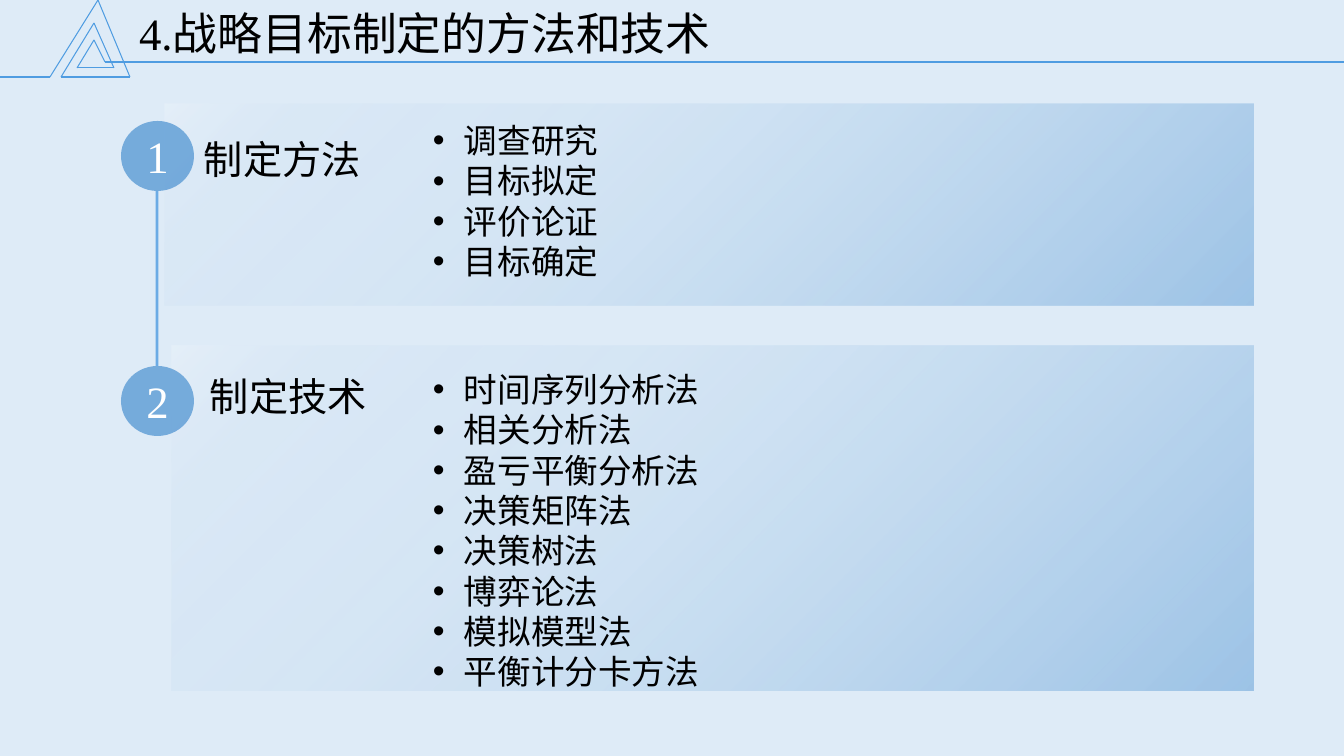
"""Build the slide on methods and techniques for setting strategic goals."""
from dataclasses import dataclass

import lxml.etree
import pptx
import pptx.dml.color
import pptx.enum.shapes
import pptx.enum.text
import pptx.oxml
import pptx.oxml.ns
import pptx.util

EMU_PER_PX = 12192000 / 1344
FONT = "Times New Roman"
BACKGROUND, LINE, ACCENT, PALE = "DEEBF7", "4F9CE1", "5B9BD5", "B5D2EC"
BLACK, WHITE = "000000", "FFFFFF"
PANEL_STOPS = [(0, ACCENT, 50), (67, PALE, 20), (88, PALE, 10), (100, WHITE, 20)]
TRIANGLE_TRAIL = [(0, 77), (50, 77), (98, 0), (130, 77), (61, 77), (94, 23),
                  (114, 68), (77, 68), (94, 40), (105, 62), (1344, 62)]
ALIGN = pptx.enum.text.PP_ALIGN
ANCHOR = pptx.enum.text.MSO_ANCHOR
SHAPE = pptx.enum.shapes.MSO_SHAPE


@dataclass
class Area:
    left: int
    top: int
    width: int
    height: int


@dataclass
class Section:
    number: str
    label: str
    items: list[str]
    panel: Area
    label_area: Area
    badge: Area
    list_area: Area


SECTIONS = [
    Section("1", "制定方法", ["调查研究", "目标拟定", "评价论证", "目标确定"],
            Area(165, 104, 1089, 201), Area(194, 130, 221, 57),
            Area(121, 121, 73, 70), Area(423, 115, 827, 173)),
    Section("2", "制定技术",
            ["时间序列分析法", "相关分析法", "盈亏平衡分析法", "决策矩阵法",
             "决策树法", "博弈论法", "模拟模型法", "平衡计分卡方法"],
            Area(172, 346, 1082, 345), Area(200, 367, 191, 57),
            Area(121, 366, 73, 70), Area(423, 364, 839, 336)),
]


def px(length: int) -> int:
    return round(length * EMU_PER_PX)


def emu(area: Area) -> tuple[int, ...]:
    return tuple(px(n) for n in (area.left, area.top, area.width, area.height))


def rgb(color: str) -> pptx.dml.color.RGBColor:
    return pptx.dml.color.RGBColor.from_string(color)


def set_alpha(element, percent: int) -> None:
    for color in element.iter(pptx.oxml.ns.qn("a:srgbClr")):
        alpha = lxml.etree.SubElement(color, pptx.oxml.ns.qn("a:alpha"))
        alpha.set("val", str(percent * 1000))


def write(shape, lines: list[str], *, size: int, color: str = BLACK,
          align=ALIGN.LEFT, anchor=ANCHOR.TOP, spacing: float = 1.0,
          bullet: bool = False) -> None:
    frame = shape.text_frame
    frame.word_wrap = True
    frame.auto_size = pptx.enum.text.MSO_AUTO_SIZE.NONE
    frame.vertical_anchor = anchor
    for index, line in enumerate(lines):
        para = frame.add_paragraph() if index else frame.paragraphs[0]
        para.alignment = align
        para.line_spacing = spacing
        if bullet:
            properties = para._p.get_or_add_pPr()
            properties.set("marL", str(px(31)))
            properties.set("indent", str(-px(31)))
            font = lxml.etree.SubElement(properties, pptx.oxml.ns.qn("a:buFont"))
            font.set("typeface", "Arial")
            mark = lxml.etree.SubElement(properties, pptx.oxml.ns.qn("a:buChar"))
            mark.set("char", "•")
        span = para.add_run()
        span.text = line
        span.font.name = FONT
        span.font.size = pptx.util.Pt(size)
        span.font.color.rgb = rgb(color)


def add_text(slide, area: Area, lines: list[str], **text_format) -> None:
    write(slide.shapes.add_textbox(*emu(area)), lines, **text_format)


def add_line(slide, start: tuple[int, int], end: tuple[int, int],
             width: float, alpha: int = 100) -> None:
    line = slide.shapes.add_connector(
        pptx.enum.shapes.MSO_CONNECTOR.STRAIGHT, *map(px, start + end))
    line.line.width = pptx.util.Pt(width)
    line.line.color.rgb = rgb(LINE)
    properties = line._element.spPr
    if alpha < 100:
        set_alpha(properties, alpha)
    lxml.etree.SubElement(properties, pptx.oxml.ns.qn("a:effectLst"))


def add_shape(slide, kind, area: Area):
    shape = slide.shapes.add_shape(kind, *emu(area))
    shape.shadow.inherit = False
    shape.line.fill.background()
    return shape


def add_panel(slide, area: Area) -> None:
    panel = add_shape(slide, SHAPE.RECTANGLE, area)
    panel.fill.gradient()
    stops = "".join(
        f'<a:gs pos="{place * 1000}"><a:srgbClr val="{color}">'
        f'<a:alpha val="{alpha * 1000}"/></a:srgbClr></a:gs>'
        for place, color, alpha in PANEL_STOPS)
    gradient = pptx.oxml.parse_xml(
        f'<a:gradFill {pptx.oxml.ns.nsdecls("a")} rotWithShape="1">'
        f'<a:gsLst>{stops}</a:gsLst><a:path path="circle">'
        '<a:fillToRect l="100000" t="100000"/></a:path></a:gradFill>')
    properties = panel._element.spPr
    properties.replace(properties.find(pptx.oxml.ns.qn("a:gradFill")), gradient)


def add_badge(slide, area: Area, number: str) -> None:
    badge = add_shape(slide, SHAPE.OVAL, area)
    badge.fill.solid()
    badge.fill.fore_color.rgb = rgb(ACCENT)
    set_alpha(badge._element.spPr, 80)
    write(badge, [number], size=32, color=WHITE, align=ALIGN.CENTER,
          anchor=ANCHOR.MIDDLE)


def add_section(slide, section: Section) -> None:
    add_panel(slide, section.panel)
    add_text(slide, section.label_area, [section.label], size=28)
    add_badge(slide, section.badge, section.number)
    add_text(slide, section.list_area, section.items, size=24, bullet=True)


def main() -> None:
    deck = pptx.Presentation()
    deck.slide_width, deck.slide_height = px(1344), px(756)
    slide = deck.slides.add_slide(deck.slide_layouts.get_by_name("Title Only"))
    slide.background.fill.solid()
    slide.background.fill.fore_color.rgb = rgb(BACKGROUND)
    title = slide.shapes.title
    title.left, title.top, title.width, title.height = emu(Area(129, 7, 1159, 68))
    write(title, ["4.战略目标制定的方法和技术"], size=32, spacing=0.9)
    for start, end in zip(TRIANGLE_TRAIL, TRIANGLE_TRAIL[1:]):
        add_line(slide, start, end, 0.75)
    for section in SECTIONS:
        add_section(slide, section)
    upper, lower = (section.badge for section in SECTIONS)
    add_line(slide, (157, upper.top + upper.height), (157, lower.top), 2, alpha=80)
    deck.save("out.pptx")


if __name__ == "__main__":
    main()
